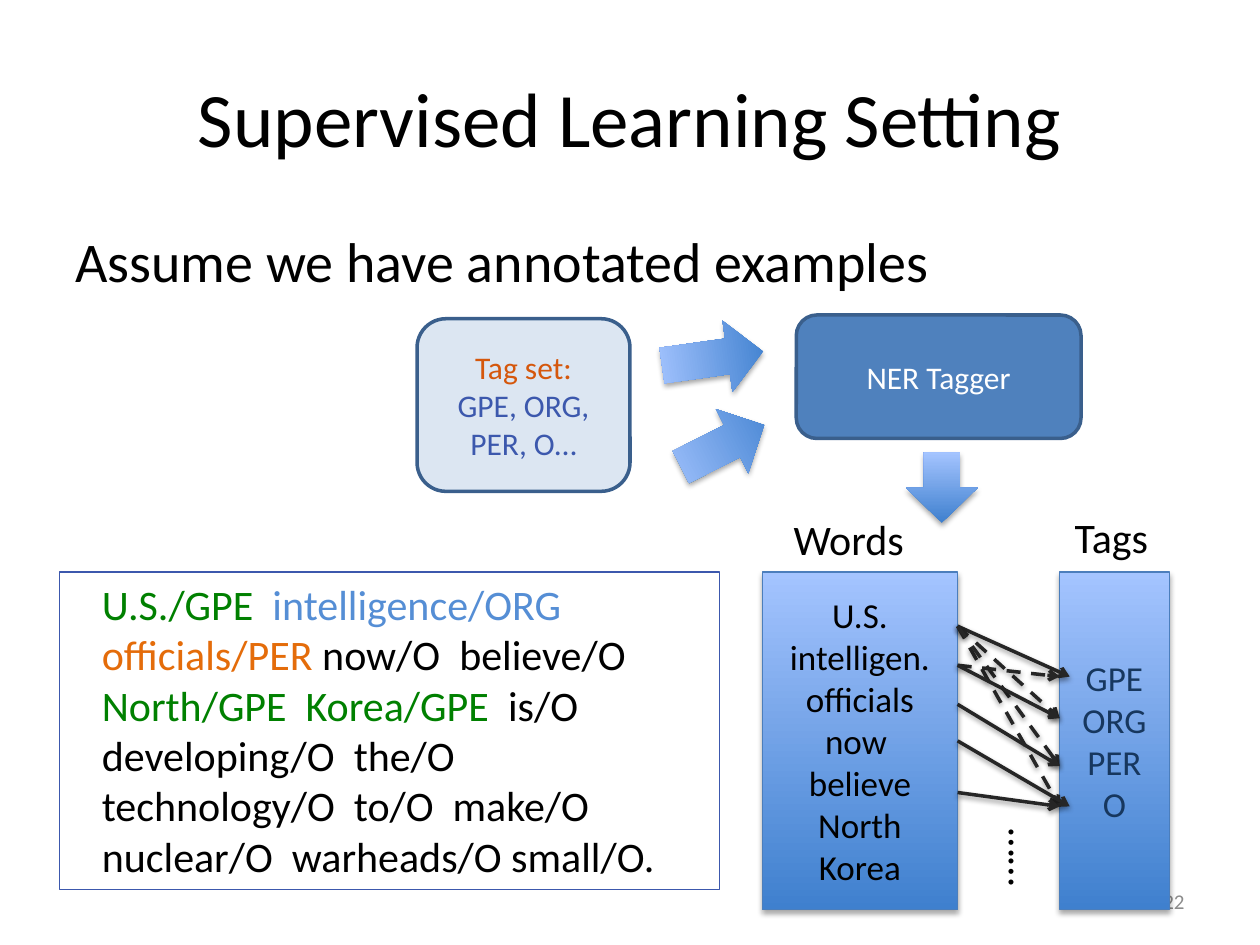
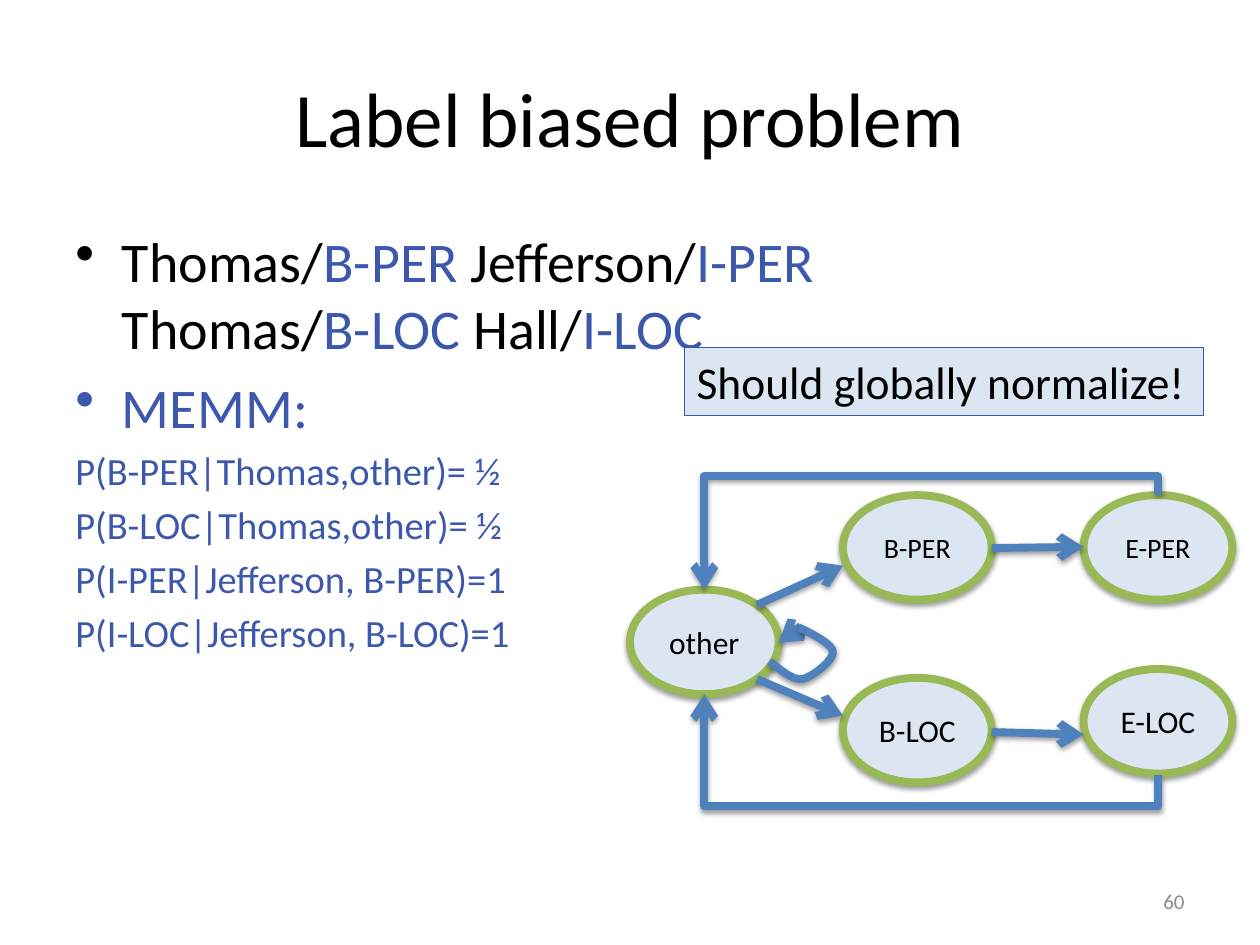
import lxml.etree
import pptx
import pptx.dml.color
import pptx.enum.dml
import pptx.enum.shapes
import pptx.enum.text
import pptx.oxml
import pptx.oxml.ns
import pptx.util

Inches, Pt = pptx.util.Inches, pptx.util.Pt
SHAPE = pptx.enum.shapes.MSO_SHAPE
LINK = pptx.enum.shapes.MSO_CONNECTOR
ALIGN = pptx.enum.text.PP_ALIGN
ANCHOR = pptx.enum.text.MSO_ANCHOR
DASH = pptx.enum.dml.MSO_LINE.DASH

BLACK, WHITE, GRAY, DARK = "000000", "FFFFFF", "8C8C8C", "262626"
BLUE, STEEL, STEEL_EDGE, PALE = "3C58AD", "4F81BD", "3A5F8C", "DCE6F2"
NAVY, SKY, GREEN, ORANGE, RUST = "17375E", "558ED5", "008000", "E46C0A", "D5570C"
LEAF, BOX_EDGE = "98B955", "4B7EBC"
GRADIENT = ("3F80CE", "A4C4FF")
BLOCK_SHADOW = (35, 1.8)
LINE_SHADOW = (38, 1.6)


def rgb(value):
    """Turn a hex string into a colour."""
    return pptx.dml.color.RGBColor.from_string(value)


def assign(target, values):
    """Set attributes from a dict of format values."""
    for name, value in values.items():
        setattr(target, name, value)


def sub(parent, tag, **attributes):
    """Append a DrawingML element."""
    node = lxml.etree.SubElement(parent, pptx.oxml.ns.qn(tag))
    for name, value in attributes.items():
        node.set(name, str(value))
    return node


def cubic(p0, p1, p2, p3, steps=12):
    """List points along a cubic curve, without its start."""
    points = []
    for i in range(1, steps + 1):
        t = i / steps
        u = 1 - t
        points.append(tuple(u**3 * a + 3 * u * u * t * b + 3 * u * t * t * c + t**3 * d
                            for a, b, c, d in zip(p0, p1, p2, p3)))
    return points


class Deck:
    """Hold the shared style and the current slide."""

    font = "Calibri"

    def __init__(self):
        """Start an empty 4:3 presentation."""
        self.prs = pptx.Presentation()
        assign(self.prs, {"slide_width": Inches(10), "slide_height": Inches(7.5)})

    def slide(self, title, number):
        """Add a slide with its title and page number."""
        self.s = self.prs.slides.add_slide(self.prs.slide_layouts[6])
        self.label((0.5, 0.3, 9, 1.25), [title], 44, align=ALIGN.CENTER, anchor=ANCHOR.MIDDLE)
        self.label((7.17, 6.95, 2.33, 0.4), [str(number)], 12, GRAY, ALIGN.RIGHT, ANCHOR.MIDDLE)

    def run(self, p, text, size, color):
        """Add one run of text."""
        r = p.add_run()
        r.text = text
        assign(r.font, {"name": self.font, "size": Pt(size)})
        r.font.color.rgb = rgb(color)

    def fill_text(self, sp, paragraphs, size, color=BLACK, align=ALIGN.LEFT,
                  anchor=ANCHOR.TOP, wrap=True, side=0.1, indent=0):
        """Fill a shape with paragraphs of plain text or (text, colour) runs."""
        tf = sp.text_frame
        assign(tf, {"word_wrap": wrap, "vertical_anchor": anchor,
                    "margin_left": Inches(side), "margin_right": Inches(side),
                    "margin_top": Inches(0.05), "margin_bottom": Inches(0.05)})
        for i, runs in enumerate(paragraphs):
            p = tf.add_paragraph() if i else tf.paragraphs[0]
            p.alignment = align
            if indent:
                p._p.get_or_add_pPr().set("marL", str(Inches(indent)))
            for text, tint in [(runs, color)] if isinstance(runs, str) else runs:
                if text == "\n":
                    p.add_line_break()
                else:
                    self.run(p, text, size, tint)
        return tf

    def label(self, box, paragraphs, size, color=BLACK, align=ALIGN.LEFT,
              anchor=ANCHOR.TOP, wrap=True, rotation=0):
        """Add a text box."""
        sp = self.s.shapes.add_textbox(*map(Inches, box))
        sp.rotation = rotation
        return self.fill_text(sp, paragraphs, size, color, align, anchor, wrap)

    def bullet(self, p, hang=0.37):
        """Give a paragraph a round bullet."""
        pPr = p._p.get_or_add_pPr()
        pPr.set("marL", str(Inches(hang)))
        pPr.set("indent", str(-Inches(hang)))
        sub(pPr, "a:buChar", char="•")

    def shadow(self, spPr, strength):
        """Put a soft shadow below a shape."""
        effects = spPr.find(pptx.oxml.ns.qn("a:effectLst"))
        if effects is None:
            effects = sub(spPr, "a:effectLst")
        if strength:
            alpha, distance = strength
            outer = sub(effects, "a:outerShdw", blurRad=Pt(3.1), dist=Pt(distance),
                        dir=5400000, rotWithShape=0)
            sub(sub(outer, "a:srgbClr", val=BLACK), "a:alpha", val=alpha * 1000)

    def shape(self, kind, box, fill=None, line=None, width=0.75, shadow=None, rotation=0):
        """Add a preset shape; a pair of colours fills it with a gradient."""
        sp = self.s.shapes.add_shape(kind, *map(Inches, box))
        sp.rotation = rotation
        sp.shadow.inherit = False
        if fill is None:
            sp.fill.background()
        elif isinstance(fill, tuple):
            sp.fill.gradient()
            sp.fill.gradient_angle = 90
            for i, stop in enumerate(sp.fill.gradient_stops):
                stop.position = i
                stop.color.rgb = rgb(fill[i])
        else:
            sp.fill.solid()
            sp.fill.fore_color.rgb = rgb(fill)
        if line:
            self.outline(sp, line, width)
        else:
            sp.line.fill.background()
        self.shadow(sp._element.spPr, shadow)
        return sp

    def outline(self, sp, color, width):
        """Set a line's colour and width."""
        sp.line.color.rgb = rgb(color)
        sp.line.width = Pt(width)

    def arrow(self, start, end, color, width, dash=False, kind=LINK.STRAIGHT):
        """Add a connector with an open arrowhead."""
        c = self.s.shapes.add_connector(kind, *map(Inches, start + end))
        self.outline(c, color, width)
        if dash:
            c.line.dash_style = DASH
        sub(c.line._get_or_add_ln(), "a:tailEnd", type="arrow")
        self.shadow(c._element.spPr, LINE_SHADOW)
        return c

    def bent_arrow(self, start, end, bend, color, width):
        """Add an elbow that leaves vertically and turns at a share of its height."""
        (x1, y1), (x2, y2) = start, end
        w, h = abs(y2 - y1), abs(x2 - x1)
        left, top = (x1 + x2 - w) / 2, (y1 + y2 - h) / 2
        c = self.arrow((left, top), (left + w, top + h), color, width, kind=LINK.ELBOW)
        spPr = c._element.spPr
        spPr.xfrm.set("rot", "5400000")
        if y2 < y1:
            spPr.xfrm.set("flipH", "1")
        geometry = spPr.find(pptx.oxml.ns.qn("a:prstGeom"))
        guides = geometry.find(pptx.oxml.ns.qn("a:avLst"))
        if guides is None:
            guides = sub(geometry, "a:avLst")
        sub(guides, "a:gd", name="adj1", fmla=f"val {round(bend * 100000)}")

    def curve(self, points, color, width):
        """Draw an open outline through points."""
        start, *rest = [tuple(map(Inches, point)) for point in points]
        builder = self.s.shapes.build_freeform(*start)
        builder.add_line_segments(rest, close=False)
        sp = builder.convert_to_shape()
        sp.shadow.inherit = False
        sp.fill.background()
        self.outline(sp, color, width)
        self.shadow(sp._element.spPr, LINE_SHADOW)


def supervised_learning(d):
    """Build the slide on annotated examples."""
    d.slide("Supervised Learning Setting", 22)
    d.label((0.5, 1.75, 9, 4.95), ["Assume we have annotated examples"], 32)
    centred = {"align": ALIGN.CENTER, "anchor": ANCHOR.MIDDLE}

    for box, rotation in (((5.37, 2.44, 0.57, 0.81), 262), ((5.45, 3.17, 0.57, 0.74), 243.2),
                          ((7.19, 3.59, 0.57, 0.56), 0)):
        d.shape(SHAPE.DOWN_ARROW, box, GRADIENT, shadow=BLOCK_SHADOW, rotation=rotation)

    sentence = d.shape(SHAPE.RECTANGLE, (0.47, 4.54, 5.24, 2.52), line=BLUE)
    d.fill_text(sentence, [[
        ("U.S./GPE  ", GREEN), ("intelligence/ORG  ", SKY), ("officials/PER", ORANGE),
        (" now/O  believe/O  ", BLACK), ("North/GPE  Korea/GPE ", GREEN),
        (" is/O  developing/O  the/O  technology/O  to/O  make/O  "
         "nuclear/O  warheads/O small/O.", BLACK)]], 24, indent=0.24)

    tag_set = d.shape(SHAPE.ROUNDED_RECTANGLE, (3.31, 2.53, 1.69, 1.37), PALE, STEEL_EDGE, 2)
    d.fill_text(tag_set, [[("Tag set:", RUST)], "GPE, ORG, PER, O…"], 18, BLUE, **centred)
    tagger = d.shape(SHAPE.FLOWCHART_ALTERNATE_PROCESS, (6.32, 2.5, 2.26, 0.98),
                     STEEL, STEEL_EDGE, 2)
    d.fill_text(tagger, ["NER Tagger"], 18, WHITE, **centred)

    columns = []
    for left, width, color, items in (
            (6.05, 1.55, BLACK,
             ["U.S.", "intelligen.", "officials", "now ", "believe", "North", "Korea"]),
            (8.41, 0.87, NAVY, ["GPE", "ORG", "PER", "O"])):
        sp = d.shape(SHAPE.RECTANGLE, (left, 4.54, width, 2.68), GRADIENT, BOX_EDGE,
                     shadow=BLOCK_SHADOW)
        d.fill_text(sp, items, 20, color, **centred)
        columns.append(sp)

    word_y = {"U.S.": 4.97, "intelligen.": 5.28, "officials": 5.59, "now": 5.88, "believe": 6.29}
    tag_y = {"GPE": 5.37, "ORG": 5.7, "PER": 6.08, "O": 6.4}
    for word, tag, dash, end_x in (
            ("U.S.", "GPE", False, 8.49), ("U.S.", "ORG", True, 8.41),
            ("U.S.", "O", True, 8.41), ("U.S.", "PER", True, 8.41),
            ("intelligen.", "GPE", True, 8.41), ("intelligen.", "ORG", False, 8.41),
            ("now", "O", False, 8.49), ("officials", "PER", False, 8.41),
            ("believe", "O", False, 8.41)):
        c = d.arrow((7.6, word_y[word]), (end_x, tag_y[tag]), DARK, 2, dash)
        if word == "now":
            c.begin_connect(columns[0], 3)

    d.label((7.76, 6.61, 0.76, 0.5), ["……"], 24, wrap=False, rotation=90)
    d.label((6.2, 4.03, 1.1, 0.5), ["Words"], 24, wrap=False)
    d.label((8.43, 4.01, 0.82, 0.5), ["Tags"], 24, wrap=False)


def label_bias(d):
    """Build the slide on the label bias problem."""
    d.slide("Label biased problem", 60)
    tf = d.label((0.5, 1.75, 9, 4.95), [
        [("Thomas/", BLACK), ("B-PER ", BLUE), ("Jefferson/", BLACK), ("I-PER ", BLUE),
         ("\n", BLUE), ("Thomas/", BLACK), ("B-LOC ", BLUE), ("Hall/", BLACK), ("I-LOC", BLUE)],
        "MEMM:"], 32, BLUE)
    for p in tf.paragraphs:
        d.bullet(p)
    tf.paragraphs[1].space_before = Pt(6.4)
    for formula in ("P(B-PER|Thomas,other)= ½", "P(B-LOC|Thomas,other)= ½",
                    "P(I-PER|Jefferson, B-PER)=1", "P(I-LOC|Jefferson, B-LOC)=1"):
        p = tf.add_paragraph()
        p.space_before = Pt(4.4)
        d.run(p, formula, 22, BLUE)

    for state, x, y, size in (("other", 5, 4.68, 18), ("B-LOC", 6.69, 5.38, 18),
                              ("E-LOC", 8.6, 5.31, 18), ("B-PER", 6.69, 3.93, 16),
                              ("E-PER", 8.6, 3.93, 16)):
        sp = d.shape(SHAPE.OVAL, (x, y, 1.18, 0.83), PALE, LEAF, 4.5, LINE_SHADOW)
        d.fill_text(sp, [state], size, align=ALIGN.CENTER, anchor=ANCHOR.MIDDLE, side=0.05)

    for start, end in (((6.01, 4.8), (6.69, 4.49)), ((7.87, 4.35), (8.6, 4.34)),
                       ((6.01, 5.39), (6.69, 5.68)), ((7.87, 5.81), (8.6, 5.83)),
                       ((6.34, 4.98), (6.18, 5.1))):
        d.arrow(start, end, STEEL, 4.5)
    d.bent_arrow((9.19, 6.15), (5.59, 5.51), -0.39, STEEL, 4.5)
    d.bent_arrow((9.19, 3.93), (5.59, 4.68), -0.2, STEEL, 4.5)

    loop = [(6.11, 5.25), (6.2, 5.32), (6.29, 5.4), (6.37, 5.39), (6.45, 5.37),
            (6.62, 5.24), (6.61, 5.17), (6.61, 5.1), (6.34, 4.98), (6.34, 4.98)]
    bends = [point for i in range(0, 9, 3) for point in cubic(*loop[i:i + 4])]
    d.curve(loop[:1] + bends, STEEL, 4.5)

    advice = d.shape(SHAPE.RECTANGLE, (5.43, 2.76, 4.12, 0.54), PALE, BLUE)
    d.fill_text(advice, ["Should globally normalize!"], 26, wrap=False)


def main():
    """Build and save the presentation."""
    d = Deck()
    supervised_learning(d)
    label_bias(d)
    d.prs.save("out.pptx")


if __name__ == "__main__":
    main()
